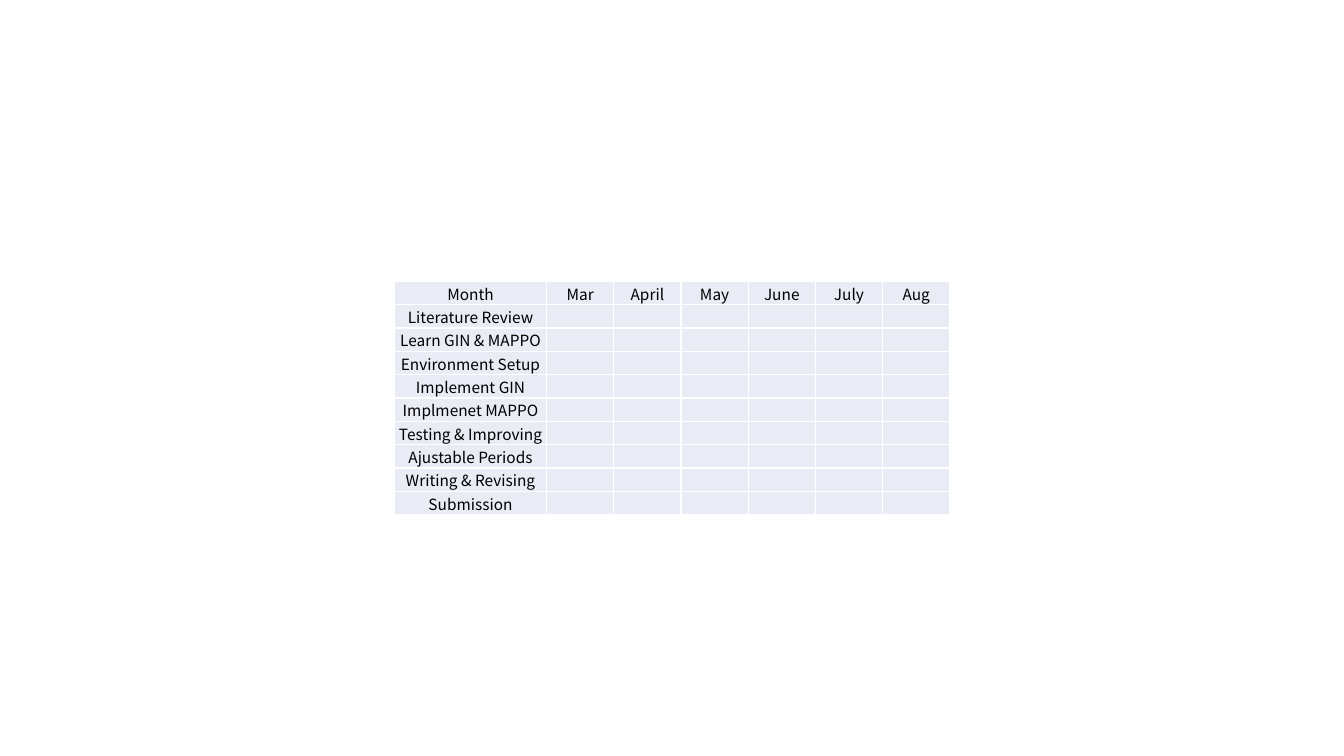
from dataclasses import dataclass

from lxml.etree import SubElement
from pptx import Presentation
from pptx.dml.color import RGBColor
from pptx.enum.text import MSO_ANCHOR, PP_ALIGN
from pptx.oxml.ns import qn
from pptx.table import Table, _Cell
from pptx.util import Pt

BLACK = RGBColor(0x00, 0x00, 0x00)
WHITE = RGBColor(0xFF, 0xFF, 0xFF)
LAVENDER = RGBColor(0xE9, 0xEB, 0xF5)

FONT_SIZE = Pt(11)
BORDER_WIDTH = Pt(1)
ROW_HEIGHT = Pt(13.8)
TASK_WIDTH = Pt(108.7)
MONTH_WIDTH = Pt(48)
MONTHS = ["Mar", "April", "May", "June", "July", "Aug"]
TASKS = [
    "Literature Review",
    "Learn GIN & MAPPO",
    "Environment Setup",
    "Implement GIN",
    "Implmenet MAPPO",
    "Testing & Improving",
    "Ajustable Periods",
    "Writing & Revising",
    "Submission",
]
CELL_FORMAT = {
    "margin_left": Pt(0.7),
    "margin_top": Pt(0.7),
    "margin_right": Pt(0.7),
    "margin_bottom": Pt(0),
    "vertical_anchor": MSO_ANCHOR.MIDDLE,
}
FONT_FORMAT = {"name": "Noto Sans CJK SC", "size": FONT_SIZE, "bold": False}


@dataclass(frozen=True)
class ScheduleCell:
    row: int
    column: int
    text: str = ""


def apply_format(target: object, values: dict) -> None:
    for name, value in values.items():
        setattr(target, name, value)


def add_borders(cell: _Cell) -> None:
    properties = cell._tc.get_or_add_tcPr()
    for side in ("lnL", "lnR", "lnT", "lnB"):
        line = SubElement(properties, qn(f"a:{side}"), w=str(BORDER_WIDTH))
        fill = SubElement(line, qn("a:solidFill"))
        SubElement(fill, qn("a:srgbClr"), val=str(WHITE))


def draw_cell(table: Table, item: ScheduleCell) -> None:
    cell = table.cell(item.row, item.column)
    apply_format(cell, CELL_FORMAT)
    add_borders(cell)
    cell.fill.solid()
    cell.fill.fore_color.rgb = LAVENDER
    para = cell.text_frame.paragraphs[0]
    para.alignment = PP_ALIGN.CENTER
    if item.text:
        span = para.add_run()
        span.text = item.text
        apply_format(span.font, FONT_FORMAT)
        span.font.color.rgb = BLACK
    else:
        size = str(round(FONT_SIZE.pt * 100))
        SubElement(para._p, qn("a:endParaRPr"), sz=size)


deck = Presentation()
deck.slide_width, deck.slide_height = Pt(960), Pt(540)
page = deck.slides.add_slide(deck.slide_layouts[6])

grid = [["Month", *MONTHS]] + [[task] + [""] * len(MONTHS) for task in TASKS]
widths = [TASK_WIDTH] + [MONTH_WIDTH] * len(MONTHS)
schedule = page.shapes.add_table(
    len(grid), len(widths), Pt(281.8), Pt(200.9), sum(widths), ROW_HEIGHT * len(grid)
).table
apply_format(schedule, {"first_row": False, "horz_banding": False})
for column, width in zip(schedule.columns, widths):
    column.width = width
for row in schedule.rows:
    row.height = ROW_HEIGHT
for row_index, texts in enumerate(grid):
    for column_index, text in enumerate(texts):
        draw_cell(schedule, ScheduleCell(row_index, column_index, text))

deck.save("out.pptx")
